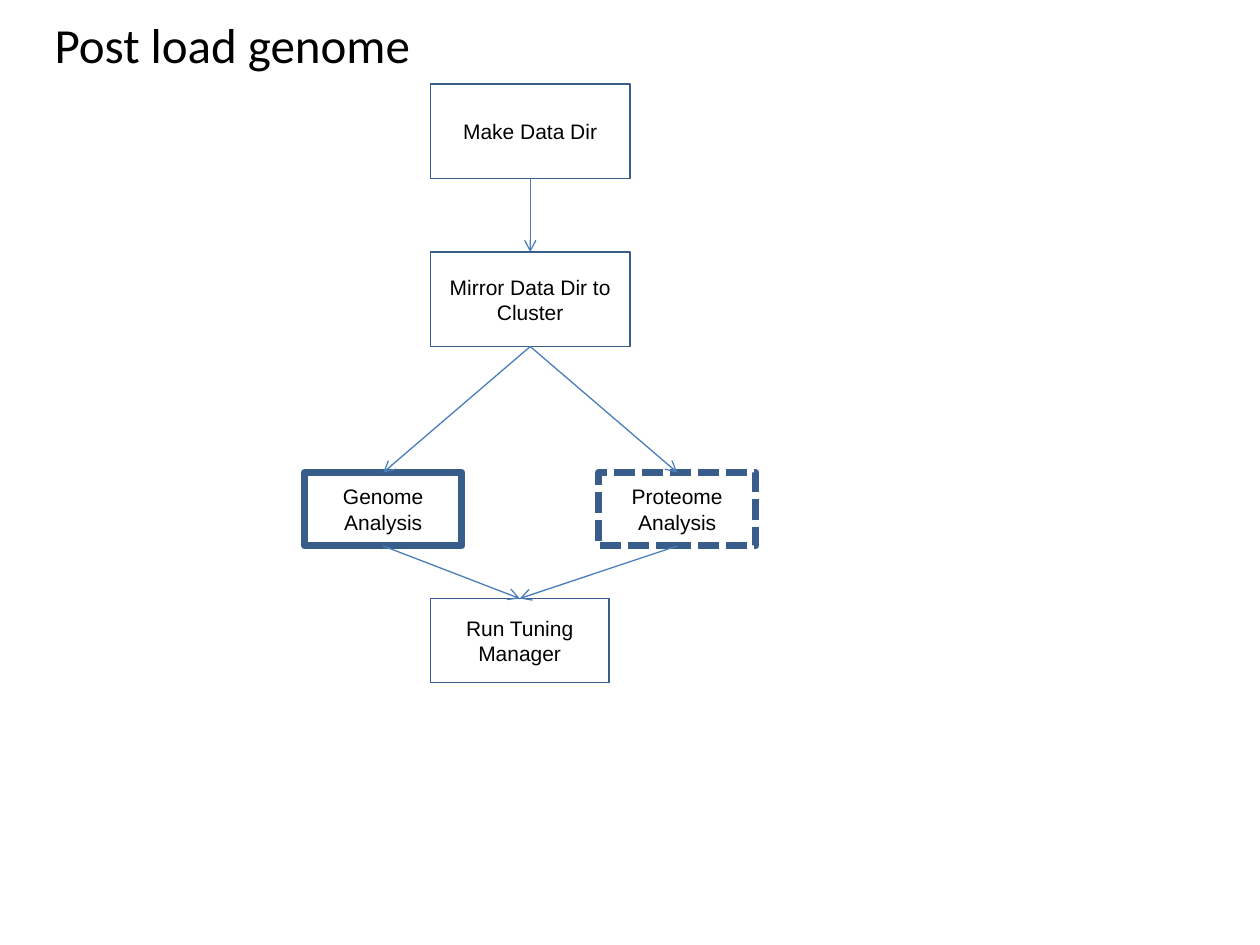
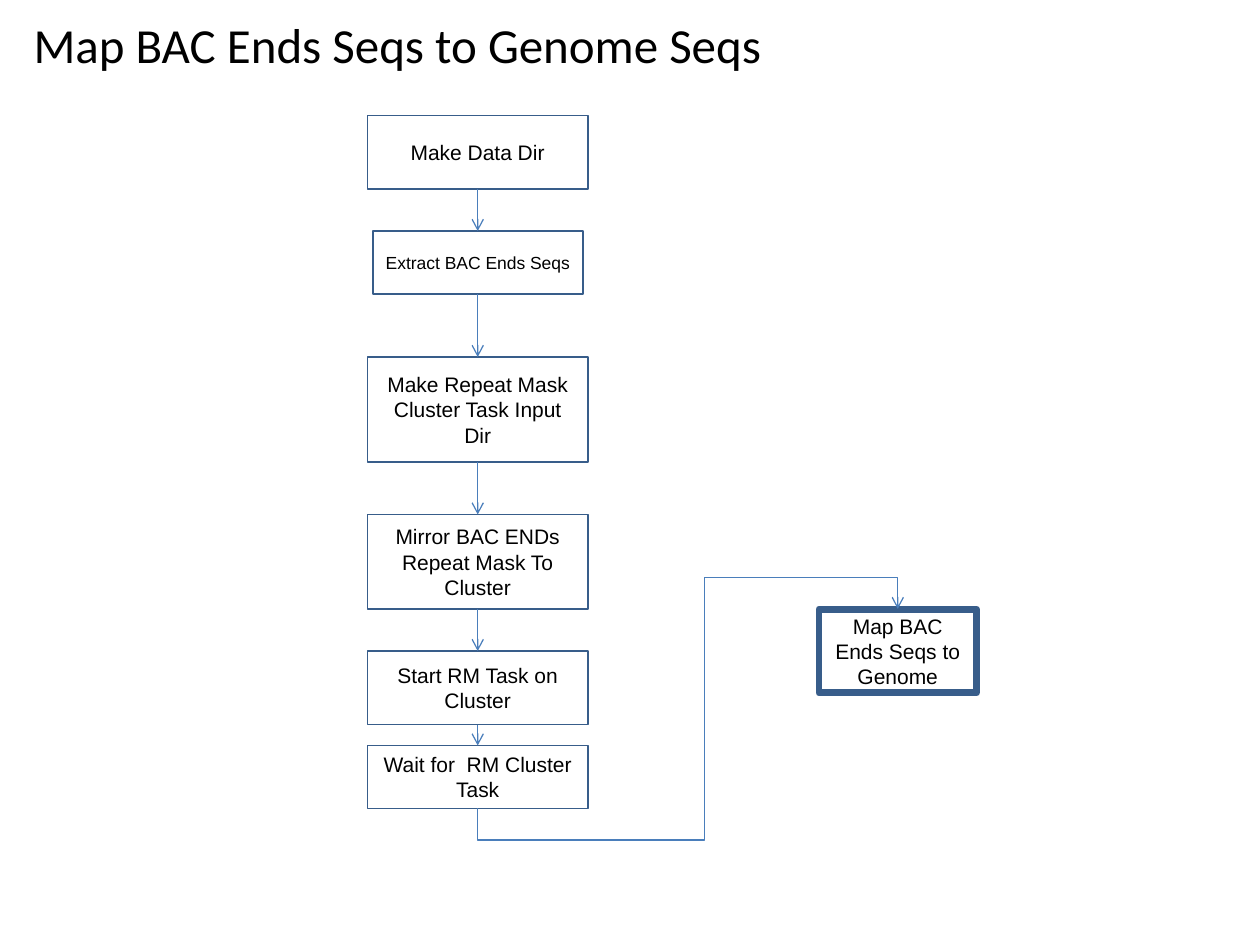
from dataclasses import dataclass
from itertools import pairwise

from lxml import etree
from pptx import Presentation
from pptx.dml.color import RGBColor
from pptx.enum.dml import MSO_LINE
from pptx.enum.shapes import MSO_CONNECTOR, MSO_SHAPE
from pptx.enum.text import MSO_ANCHOR, MSO_AUTO_SIZE, PP_ALIGN
from pptx.oxml.ns import qn
from pptx.util import Pt

RECT = MSO_SHAPE.RECTANGLE
STRAIGHT, ELBOW = MSO_CONNECTOR.STRAIGHT, MSO_CONNECTOR.ELBOW
DASH = MSO_LINE.SQUARE_DOT
LEFT, CENTER = PP_ALIGN.LEFT, PP_ALIGN.CENTER
MIDDLE = MSO_ANCHOR.MIDDLE
NO_FIT = MSO_AUTO_SIZE.NONE
TITLE_ONLY = 5
TOP, BOTTOM = 0, 2


@dataclass(frozen=True)
class Theme:
    text: RGBColor = RGBColor(0x00, 0x00, 0x00)
    paper: RGBColor = RGBColor(0xFF, 0xFF, 0xFF)
    border: RGBColor = RGBColor(0x38, 0x5D, 0x8A)
    arrow: RGBColor = RGBColor(0x4A, 0x7E, 0xBB)
    title_font: str = "Calibri"
    body_font: str = "Arial"
    title_size: float = 28
    body_size: float = 12
    small_size: float = 10
    thin: float = 1
    thick: float = 4
    arrow_width: float = 0.75


class Deck:
    def __init__(self, theme):
        self.theme = theme
        self.prs = Presentation()
        self.prs.slide_width, self.prs.slide_height = Pt(720), Pt(540)
        self.s = None

    def slide(self, title, x, w):
        """Start a slide with its title in the shared band at the top."""
        self.s = self.prs.slides.add_slide(self.prs.slide_layouts[TITLE_ONLY])
        self.s.background.fill.solid()
        self.s.background.fill.fore_color.rgb = self.theme.paper
        sp = self.s.shapes.title
        sp.left, sp.top, sp.width, sp.height = Pt(x), Pt(6), Pt(w), Pt(38)
        self.set_text(sp.text_frame, title, self.theme.title_font,
                      self.theme.title_size, LEFT)

    def set_text(self, tf, text, font, size, align):
        tf.text = text
        tf.word_wrap, tf.auto_size = True, NO_FIT
        tf.vertical_anchor = MIDDLE
        for p in tf.paragraphs:
            p.alignment = align
            for r in p.runs:
                r.font.name, r.font.size = font, Pt(size)
                r.font.color.rgb = self.theme.text

    def box(self, text, x, y, w, h, size=None, width=None, dash=None, fill=None):
        sp = self.s.shapes.add_shape(RECT, Pt(x), Pt(y), Pt(w), Pt(h))
        sp.shadow.inherit = False
        if fill is None:
            sp.fill.background()
        else:
            sp.fill.solid()
            sp.fill.fore_color.rgb = fill
        sp.line.color.rgb = self.theme.border
        sp.line.width = Pt(width or self.theme.thin)
        if dash is not None:
            sp.line.dash_style = dash
        self.set_text(sp.text_frame, text, self.theme.body_font,
                      size or self.theme.body_size, CENTER)
        return sp

    def style_arrow(self, cx):
        cx.line.color.rgb = self.theme.arrow
        cx.line.width = Pt(self.theme.arrow_width)
        spPr = cx._element.spPr
        etree.SubElement(spPr.find(qn("a:ln")), qn("a:tailEnd"), type="arrow")
        etree.SubElement(spPr, qn("a:effectLst"))

    def arrow(self, start, end):
        """Join the bottom of one box to the top of another."""
        cx = self.s.shapes.add_connector(STRAIGHT, 0, 0, 0, 0)
        cx.begin_connect(start, BOTTOM)
        cx.end_connect(end, TOP)
        self.style_arrow(cx)

    def loop_arrow(self, start, end, stub, bend):
        """Leave a box downwards, climb at the bend, enter the next from above."""
        x1, y1 = start.left + start.width // 2, start.top + start.height
        x2, y2 = end.left + end.width // 2, end.top
        run, rise = x2 - x1, y1 - y2
        # The frame is turned by 270 degrees about its centre
        left, top = (x1 + x2 - rise) // 2, (y1 + y2 - run) // 2
        cx = self.s.shapes.add_connector(ELBOW, left, top, left + rise, top + run)
        self.style_arrow(cx)
        spPr = cx._element.spPr
        spPr.find(qn("a:xfrm")).set("rot", str(270 * 60000))
        geom = spPr.find(qn("a:prstGeom"))
        geom.set("prst", "bentConnector5")
        guides = geom.find(qn("a:avLst"))
        if guides is None:
            guides = etree.SubElement(geom, qn("a:avLst"))
        shares = (-Pt(stub) / rise, bend, 1 + Pt(stub) / rise)
        for i, share in enumerate(shares, 1):
            etree.SubElement(guides, qn("a:gd"), name=f"adj{i}",
                             fmla=f"val {round(share * 100000)}")


def post_load(deck):
    t = deck.theme
    deck.slide("Post load genome", 24, 372)

    # Steps
    make = deck.box("Make Data Dir", 246, 48, 114, 54)
    mirror = deck.box("Mirror Data Dir to Cluster", 246, 144, 114, 54)
    genome = deck.box("Genome Analysis", 174, 270, 90, 42, width=t.thick)
    proteome = deck.box("Proteome\nAnalysis", 342, 270, 90, 42,
                        width=t.thick, dash=DASH)
    tuning = deck.box("Run Tuning Manager", 246, 342, 102, 48, fill=t.paper)

    # Flow
    deck.arrow(make, mirror)
    for analysis in (genome, proteome):
        deck.arrow(mirror, analysis)
        deck.arrow(analysis, tuning)


def map_bac_ends(deck):
    t = deck.theme
    deck.slide("Map BAC Ends Seqs to Genome Seqs", 12, 474)

    # Column of steps around one axis: text, top, width, height, text size
    axis = 273
    rows = [
        ("Make Data Dir", 66, 126, 42, t.body_size),
        ("Extract BAC Ends Seqs", 132, 120, 36, t.small_size),
        ("Make Repeat Mask Cluster Task Input Dir", 204, 126, 60, t.body_size),
        ("Mirror BAC ENDs Repeat Mask To Cluster", 294, 126, 54, t.body_size),
        ("Start RM Task on Cluster", 372, 126, 42, t.body_size),
        ("Wait for  RM Cluster Task", 426, 126, 36, t.body_size),
    ]
    steps = [deck.box(text, axis - w / 2, y, w, h, size)
             for text, y, w, h, size in rows]
    mapping = deck.box("Map BAC Ends Seqs to Genome", 468, 348, 90, 48,
                       width=t.thick)

    # Flow
    for start, end in pairwise(steps):
        deck.arrow(start, end)
    deck.loop_arrow(steps[-1], mapping, stub=18, bend=0.54)


def main():
    deck = Deck(Theme())
    post_load(deck)
    map_bac_ends(deck)
    deck.prs.save("out.pptx")


if __name__ == "__main__":
    main()
